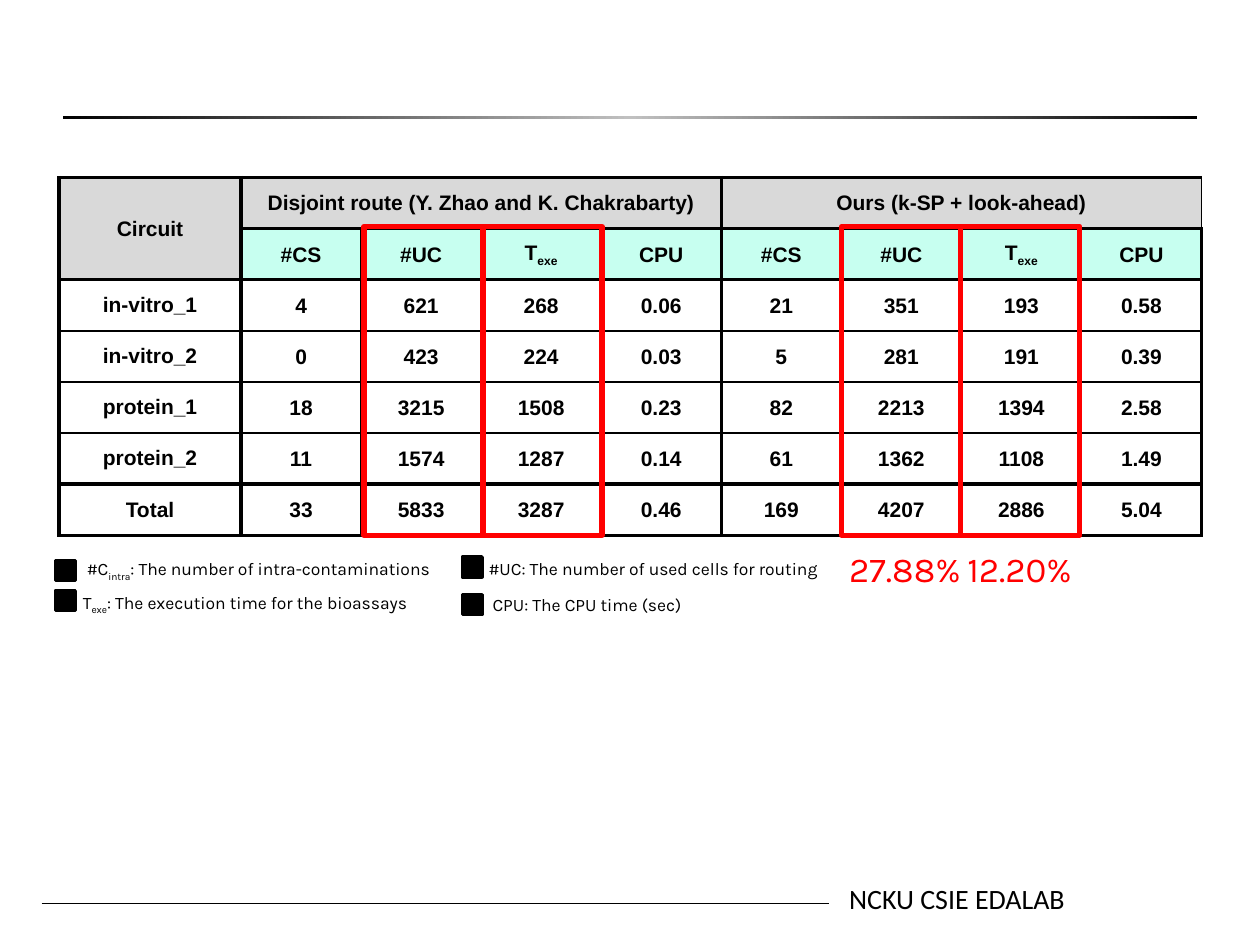
from copy import deepcopy
from dataclasses import dataclass

from lxml.etree import SubElement
from pptx import Presentation
from pptx.dml.color import RGBColor
from pptx.enum.shapes import MSO_CONNECTOR, MSO_SHAPE
from pptx.enum.text import MSO_ANCHOR, MSO_AUTO_SIZE, PP_ALIGN
from pptx.oxml.ns import qn
from pptx.slide import Slide
from pptx.util import Cm, Pt

BLACK = RGBColor(0, 0, 0)
WHITE = RGBColor(255, 255, 255)
SILVER = RGBColor(0xC0, 0xC0, 0xC0)
GREY = RGBColor(0xD9, 0xD9, 0xD9)
MINT = RGBColor(0xC7, 0xFF, 0xF0)
RED = RGBColor(255, 0, 0)

TEXE = ("T", "exe")
HEADS = ["#CS", "#UC", TEXE, "CPU"]
ROWS = [
    ["Circuit", "Disjoint route (Y. Zhao and K. Chakrabarty)", "", "", "",
     "Ours (k-SP + look-ahead)", "", "", ""],
    [""] + HEADS * 2,
    ["in-vitro_1", "4", "621", "268", "0.06", "21", "351", "193", "0.58"],
    ["in-vitro_2", "0", "423", "224", "0.03", "5", "281", "191", "0.39"],
    ["protein_1", "18", "3215", "1508", "0.23", "82", "2213", "1394", "2.58"],
    ["protein_2", "11", "1574", "1287", "0.14", "61", "1362", "1108", "1.49"],
    ["Total", "33", "5833", "3287", "0.46", "169", "4207", "2886", "5.04"],
]
SPANS = [(0, 0, 1, 0), (0, 1, 0, 4), (0, 5, 0, 8)]
THICK_ROWS = {0, 1, 2, 6, 7}
THICK_COLS = {0, 1, 5, 9}
LEFT, TOP = 1.19, 3.58
NAME_W, COL_W, ROW_H = 3.67, 2.42, 1.03

# Text, text left, text top, width, bullet left, bullet top
KEYS = [
    (("#C", "intra", ": The number of intra-contaminations"),
     1.5, 11.13, 10.49, 1.12, 11.3),
    ("CPU: The CPU time (sec)", 9.68, 11.86, 10.49, 9.32, 11.99),
    ("#UC: The number of used cells for routing",
     9.6, 11.13, 8.36, 9.32, 11.23),
    (TEXE + (": The execution time for the bioassays",),
     1.42, 11.81, 15.75, 1.12, 11.91),
]


@dataclass
class Deck:
    slide: Slide
    font: str = "Karla"
    cell_font: str = "Arial"
    cell_size: float = 12
    thin: float = 1
    thick: float = 2.25

    def add_runs(self, para, text, font, size, color, bold=False):
        """Add runs to a paragraph; every second part of a tuple is subscript."""
        parts = (text,) if isinstance(text, str) else text
        for i, part in enumerate(parts):
            run = para.add_run()
            run.text = part
            run.font.name, run.font.size = font, Pt(size)
            run.font.bold = bold
            run.font.color.rgb = color
            if i % 2:
                run.font._element.set("baseline", "-25000")

    def label(self, text, x, y, w, h, size, color=BLACK, font=None):
        box = self.slide.shapes.add_textbox(Cm(x), Cm(y), Cm(w), Cm(h))
        frame = box.text_frame
        frame.word_wrap = True
        frame.auto_size = MSO_AUTO_SIZE.SHAPE_TO_FIT_TEXT
        self.add_runs(frame.paragraphs[0], text, font or self.font, size, color)

    def rect(self, x, y, w, h, fill=None, line=None, width=0):
        shape = self.slide.shapes.add_shape(
            MSO_SHAPE.RECTANGLE, Cm(x), Cm(y), Cm(w), Cm(h))
        shape.shadow.inherit = False
        if fill is None:
            shape.fill.background()
        else:
            shape.fill.solid()
            shape.fill.fore_color.rgb = fill
        if line is None:
            shape.line.fill.background()
        else:
            shape.line.color.rgb = line
            shape.line.width = Pt(width)
        return shape

    def fade(self, x, y, w, h, colors):
        """Draw a bar that blends through three colours from left to right."""
        bar = self.rect(x, y, w, h)
        bar.fill.gradient()
        bar.fill.gradient_angle = 0
        stops = bar._element.spPr.find(".//" + qn("a:gsLst"))
        stops.insert(1, deepcopy(stops[0]))
        for i, (stop, color) in enumerate(zip(bar.fill.gradient_stops, colors)):
            stop.position = i / 2
            stop.color.rgb = color

    def rule(self, x, y, end, width):
        line = self.slide.shapes.add_connector(
            MSO_CONNECTOR.STRAIGHT, Cm(x), Cm(y), Cm(end), Cm(y))
        line.line.color.rgb = BLACK
        line.line.width = Pt(width)
        SubElement(line._element.spPr, qn("a:effectLst"))

    def edge(self, cell, row, col):
        """Give a cell thick or thin borders by the grid lines it touches."""
        sides = {"L": col in THICK_COLS, "R": col + 1 in THICK_COLS,
                 "T": row in THICK_ROWS, "B": row + 1 in THICK_ROWS}
        props = cell._tc.get_or_add_tcPr()
        for side, heavy in sides.items():
            width = Pt(self.thick if heavy else self.thin)
            line = SubElement(props, qn("a:ln" + side), w=str(width))
            fill = SubElement(line, qn("a:solidFill"))
            SubElement(fill, qn("a:srgbClr"), val=str(BLACK))

    def cell(self, cell, row, col, text):
        self.edge(cell, row, col)
        if row == 0 or (row == 1 and col == 0):
            tint = GREY
        else:
            tint = {1: MINT, len(ROWS) - 1: WHITE}.get(row)
        if tint is None:
            cell.fill.background()
        else:
            cell.fill.solid()
            cell.fill.fore_color.rgb = tint
        cell.vertical_anchor = MSO_ANCHOR.MIDDLE
        if row and col:
            cell.margin_left = cell.margin_right = cell.margin_top = Cm(0.03)
            cell.margin_bottom = 0
        para = cell.text_frame.paragraphs[0]
        para.alignment = PP_ALIGN.CENTER
        if text:
            self.add_runs(para, text, self.cell_font, self.cell_size, BLACK, True)

    def table(self, rows):
        count = len(rows[0])
        wide = NAME_W + COL_W * (count - 1)
        table = self.slide.shapes.add_table(
            len(rows), count, Cm(LEFT), Cm(TOP),
            Cm(wide), Cm(ROW_H * len(rows))).table
        table.first_row = table.horz_banding = False
        for i, col in enumerate(table.columns):
            col.width = Cm(COL_W if i else NAME_W)
        for r, row in enumerate(rows):
            table.rows[r].height = Cm(ROW_H)
            for c, text in enumerate(row):
                self.cell(table.cell(r, c), r, c, text)
        for top, left, low, right in SPANS:
            table.cell(top, left).merge(table.cell(low, right))


def main():
    show = Presentation()
    show.slide_width, show.slide_height = Cm(25.4), Cm(19.05)
    deck = Deck(show.slides.add_slide(show.slide_layouts[6]))

    deck.fade(1.27, 2.33, 22.86, 0.08, (BLACK, SILVER, BLACK))
    deck.rule(0.84, 18.21, 16.71, 0.5)
    deck.label("NCKU CSIE EDALAB", 16.87, 17.65, 5.56, 0.94, 16, font="Calibri")
    deck.table(ROWS)

    for text, x, y, w, dot_x, dot_y in KEYS:
        deck.rect(dot_x, dot_y, 0.4, 0.4, BLACK, BLACK, 2)
        deck.label(text, x, y, w, 0.69, 10)

    for x in (7.34, 16.97):
        for i in range(2):
            deck.rect(x + 2.4 * i, 4.57, 2.4, 6.22, line=RED, width=3)
    for i, gain in enumerate(("27.88%", "12.20%")):
        deck.label(gain, 16.87 + 2.38 * i, 10.92, 3.18, 1.12, 20, RED)

    show.save("out.pptx")


if __name__ == "__main__":
    main()
